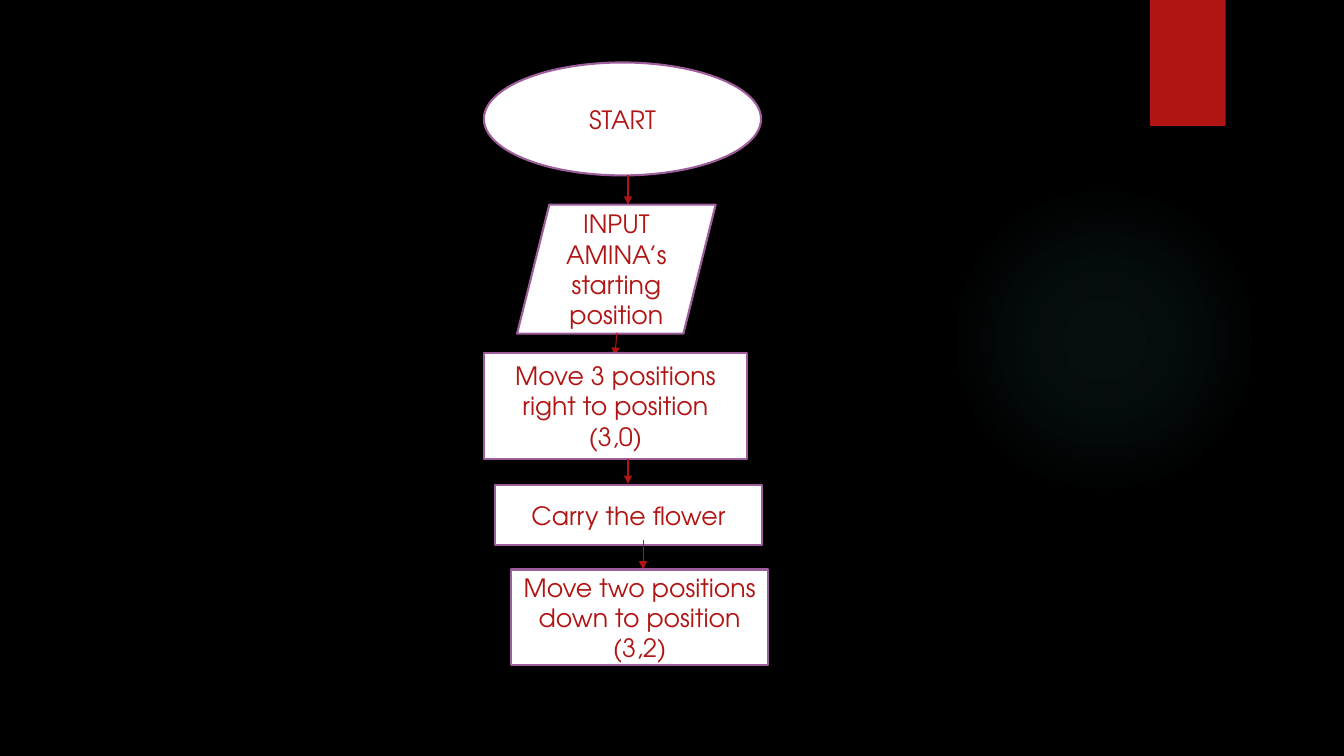
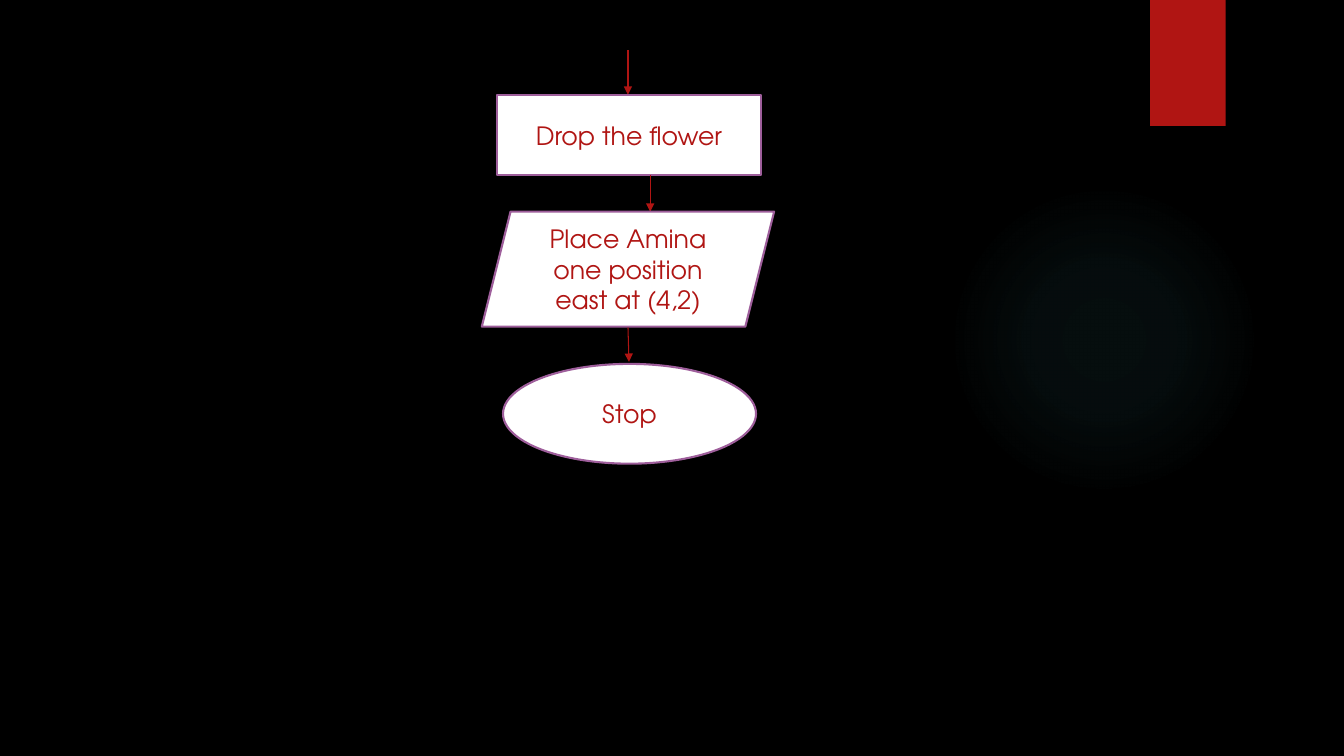
from dataclasses import dataclass
from typing import Optional

from pptx import Presentation
from pptx.dml.color import RGBColor
from pptx.enum.shapes import MSO_CONNECTOR, MSO_SHAPE
from pptx.enum.text import MSO_ANCHOR, PP_ALIGN
from pptx.oxml import parse_xml
from pptx.oxml.ns import nsdecls
from pptx.util import Inches, Pt

TERMINAL = MSO_SHAPE.OVAL
DATA = MSO_SHAPE.PARALLELOGRAM
PROCESS = MSO_SHAPE.RECTANGLE
STRAIGHT = MSO_CONNECTOR.STRAIGHT
BLANK_LAYOUT = 6


@dataclass(frozen=True)
class Theme:
    background: str = "000000"
    accent: str = "B01513"
    outline: str = "9E5E9B"
    paper: str = "FFFFFF"
    glow: str = "50B9C1"
    font: str = "TeX Gyre Adventor"
    text_size: float = 18
    outline_width: float = 1.5
    arrow_width: float = 0.75


@dataclass(frozen=True)
class Step:
    """A flowchart box and the arrow leading into it, in grid cells."""
    kind: MSO_SHAPE
    text: str
    frame: tuple
    arrow: Optional[tuple] = None


THEME = Theme()

# Grid: ten cells to the inch
PAGE_COLUMNS, PAGE_ROWS = 133.33, 75

FLOWCHART_PAGES = [
    [
        Step(TERMINAL, "START", (48, 6.2, 27.5, 11.2)),
        Step(DATA, "INPUT AMINA’s starting position",
             (51.3, 20.3, 19.7, 12.8), (62.3, 17.4, 62.3, 20.3)),
        Step(PROCESS, "Move 3 positions right to position (3,0)",
             (48, 35, 26.1, 10.5), (61.2, 33, 61, 35.3)),
        Step(PROCESS, "Carry the flower",
             (49.1, 48.1, 26.5, 6), (62.3, 45.5, 62.3, 48)),
        Step(PROCESS, "Move two positions down to position (3,2)",
             (50.7, 56.5, 25.5, 9.5), (63.8, 53.6, 63.8, 56.5)),
    ],
    [
        Step(PROCESS, "Drop the flower",
             (49.3, 9.4, 26.2, 8), (62.3, 5, 62.3, 9.4)),
        Step(DATA, "Place Amina one position east at (4,2)",
             (47.8, 21, 29, 11.4), (64.5, 17.4, 64.5, 21)),
        Step(TERMINAL, "Stop",
             (49.9, 36.1, 25.1, 9.9), (62.3, 32.5, 62.4, 35.9)),
    ],
]


def cells(*counts):
    return [Inches(count / 10) for count in counts]


def paint(fill, color):
    fill.solid()
    fill.fore_color.rgb = RGBColor.from_string(color)


def add_plain_shape(page, kind, frame, color):
    shape = page.shapes.add_shape(kind, *cells(*frame))
    shape.shadow.inherit = False
    paint(shape.fill, color)
    shape.line.fill.background()
    return shape


def add_glow(page):
    """A disc that fades out from its centre."""
    glow = add_plain_shape(page, TERMINAL, (94.1, 18.3, 30.8, 30.8), THEME.glow)
    stops = "".join(
        f'<a:gs pos="{place * 1000}"><a:srgbClr val="{THEME.glow}">'
        f'<a:alpha val="{opacity * 1000}"/></a:srgbClr></a:gs>'
        for place, opacity in ((0, 7), (36, 6), (69, 0)))
    gradient = parse_xml(
        f'<a:gradFill {nsdecls("a")}><a:gsLst>{stops}</a:gsLst>'
        '<a:path path="circle"><a:fillToRect l="50000" t="50000" '
        'r="50000" b="50000"/></a:path></a:gradFill>')
    properties = glow.element.spPr
    properties.replace(properties.find("{*}solidFill"), gradient)
    return glow


def add_ribbon(page):
    """The red tab at the top edge, with a soft shadow below."""
    ribbon = add_plain_shape(page, PROCESS, (114.1, 0, 7.5, 12.5), THEME.accent)
    ribbon.element.spPr.find("{*}effectLst").append(parse_xml(
        f'<a:outerShdw {nsdecls("a")} blurRad="{Pt(3)}" dist="{Pt(2)}" '
        'dir="5400000" rotWithShape="0"><a:srgbClr val="000000">'
        '<a:alpha val="45000"/></a:srgbClr></a:outerShdw>'))
    return ribbon


def decorate_layout(layout, page):
    """Draw the shared parts on a page, then move them to its layout."""
    paint(layout.background.fill, THEME.background)
    for part in (add_glow(page), add_ribbon(page)):
        layout.shapes.element.append(part.element)


def add_arrow(page, ends):
    arrow = page.shapes.add_connector(STRAIGHT, *cells(*ends))
    arrow.line.color.rgb = RGBColor.from_string(THEME.accent)
    arrow.line.width = Pt(THEME.arrow_width)
    arrow.line._get_or_add_ln().append(
        parse_xml(f'<a:tailEnd {nsdecls("a")} type="triangle"/>'))
    arrow.element.spPr.append(parse_xml(f'<a:effectLst {nsdecls("a")}/>'))


def add_step(page, step):
    if step.arrow:
        add_arrow(page, step.arrow)
    box = add_plain_shape(page, step.kind, step.frame, THEME.paper)
    paint(box.line.fill, THEME.outline)
    box.line.width = Pt(THEME.outline_width)
    frame = box.text_frame
    frame.text = step.text
    frame.word_wrap = True
    frame.vertical_anchor = MSO_ANCHOR.MIDDLE
    para = frame.paragraphs[0]
    para.alignment = PP_ALIGN.CENTER
    font = para.runs[0].font
    font.name = THEME.font
    font.size = Pt(THEME.text_size)
    font.color.rgb = RGBColor.from_string(THEME.accent)


def main():
    deck = Presentation()
    deck.slide_width, deck.slide_height = cells(PAGE_COLUMNS, PAGE_ROWS)
    layout = deck.slide_layouts[BLANK_LAYOUT]
    pages = [deck.slides.add_slide(layout) for _ in FLOWCHART_PAGES]
    decorate_layout(layout, pages[0])
    for page, steps in zip(pages, FLOWCHART_PAGES):
        for step in steps:
            add_step(page, step)
    deck.save("out.pptx")


if __name__ == "__main__":
    main()
